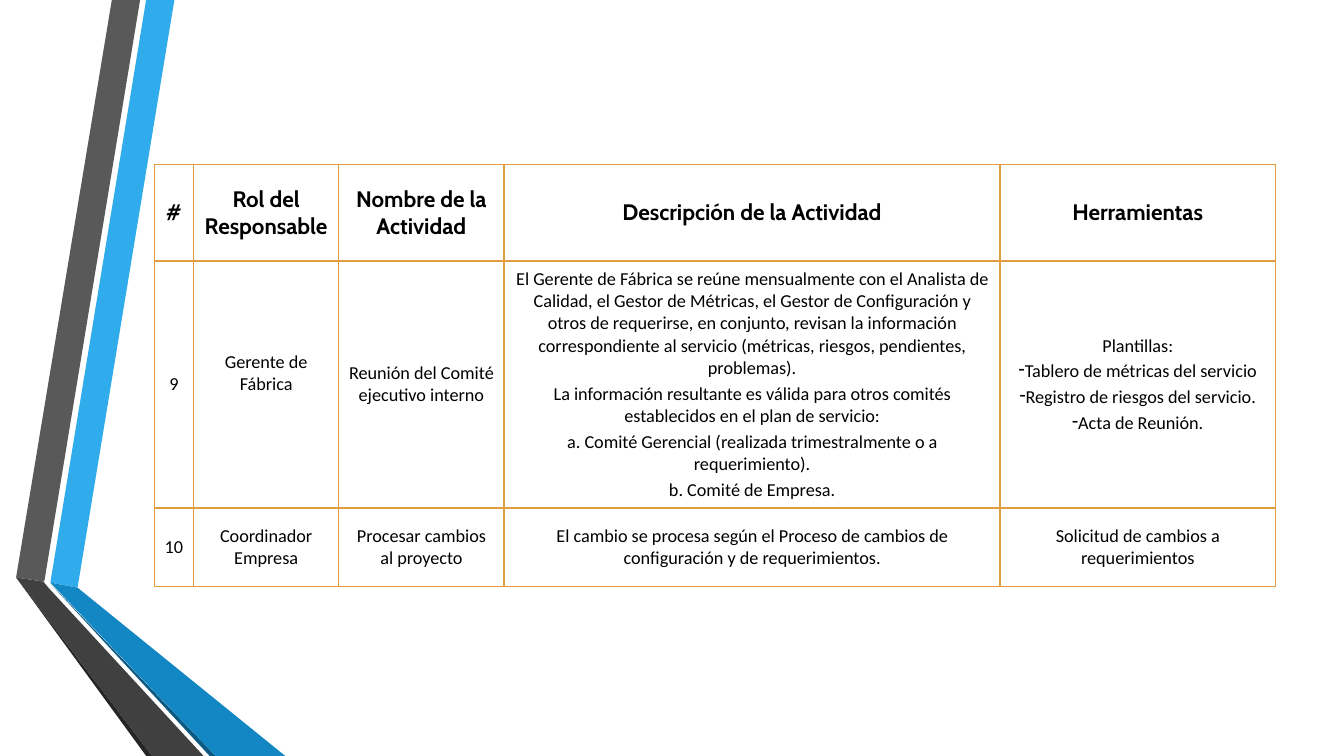
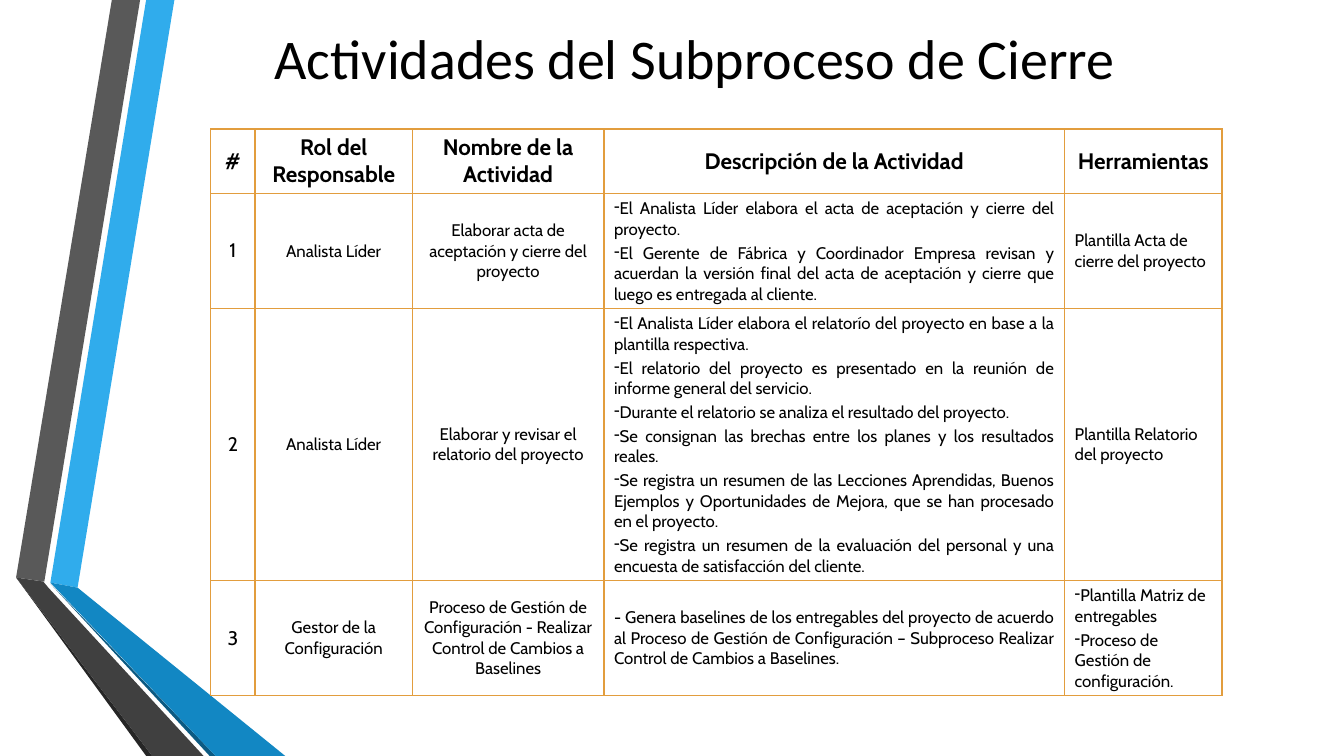
import pptx
import pptx.dml.color
import pptx.enum.text
import pptx.oxml
import pptx.oxml.ns
import pptx.util

Inches = pptx.util.Inches
Pt = pptx.util.Pt
RGB = pptx.dml.color.RGBColor
Align = pptx.enum.text.PP_ALIGN
Anchor = pptx.enum.text.MSO_ANCHOR

# Shared colours and fonts
BLACK = RGB(0x00, 0x00, 0x00)
RULE = RGB(0xE2, 0x9D, 0x3E)
SKY = RGB(0x30, 0xAC, 0xEC)
BLUE = RGB(0x12, 0x87, 0xC3)
NAVY = RGB(0x0C, 0x5A, 0x82)
GREY = RGB(0x59, 0x59, 0x59)
DARK = RGB(0x40, 0x40, 0x40)
COAL = RGB(0x26, 0x26, 0x26)
HEAD = "Cabin"
BODY = "Calibri"

# Folded ribbons on the left edge, from back to front
BANDS = [
    (SKY, [(0.5, 5.78), (0.77, 5.83), (1.73, 0), (1.45, 0)]),
    (GREY, [(1.39, 0), (1.11, 0), (0.16, 5.73), (0.44, 5.77)]),
    (COAL, [(0.16, 5.73), (1.45, 7.5), (1.51, 7.5)]),
    (NAVY, [(0.5, 5.79), (2.08, 7.5), (2.14, 7.5)]),
    (BLUE, [(0.5, 5.78), (2.14, 7.5), (2.83, 7.5), (0.77, 5.83)]),
    (DARK, [(2.02, 7.5), (0.48, 5.83), (0.43, 5.77), (0.16, 5.73),
            (1.51, 7.5)]),
]

# Table content: a cell is a string, or a list of paragraphs;
# a dash directly before a word marks a bullet
TITLES = ["#", "Rol del Responsable", "Nombre de la Actividad",
          "Descripción de la Actividad", "Herramientas"]

TRACK = [
    ["9", "Gerente de Fábrica", "Reunión del Comité ejecutivo interno",
     ["El Gerente de Fábrica se reúne mensualmente con el Analista de "
      "Calidad, el Gestor de Métricas, el Gestor de Configuración y otros "
      "de requerirse, en conjunto, revisan la información correspondiente "
      "al servicio (métricas, riesgos, pendientes, problemas).",
      "La información resultante es válida para otros comités establecidos "
      "en el plan de servicio:",
      "a. Comité Gerencial (realizada trimestralmente o a requerimiento).",
      "b. Comité de Empresa."],
     ["Plantillas:", "-Tablero de métricas del servicio",
      "-Registro de riesgos del servicio.", "-Acta de Reunión."]],
    ["10", "Coordinador Empresa", "Procesar cambios al proyecto",
     "El cambio se procesa según el Proceso de cambios de configuración y "
     "de requerimientos.",
     "Solicitud de cambios a requerimientos"],
]

CLOSE = [
    ["1", "Analista Líder",
     "Elaborar acta de aceptación y cierre del proyecto",
     ["-El Analista Líder elabora el acta de aceptación y cierre del "
      "proyecto.",
      "-El Gerente de Fábrica y Coordinador Empresa revisan y acuerdan la "
      "versión final del acta de aceptación y cierre que luego es entregada "
      "al cliente."],
     "Plantilla Acta de cierre del proyecto"],
    ["2", "Analista Líder", "Elaborar y revisar el relatorio del proyecto",
     ["-El Analista Líder elabora el relatorío del proyecto en base a la "
      "plantilla respectiva.",
      "-El relatorio del proyecto es presentado en la reunión de informe "
      "general del servicio.",
      "-Durante el relatorio se analiza el resultado del proyecto.",
      "-Se consignan las brechas entre los planes y los resultados reales.",
      "-Se registra un resumen de las Lecciones Aprendidas, Buenos Ejemplos "
      "y Oportunidades de Mejora, que se han procesado en el proyecto.",
      "-Se registra un resumen de la evaluación del personal y una encuesta "
      "de satisfacción del cliente."],
     "Plantilla Relatorio del proyecto"],
    ["3", "Gestor de la Configuración",
     "Proceso de Gestión de Configuración - Realizar Control de Cambios a "
     "Baselines",
     "- Genera baselines de los entregables del proyecto de acuerdo al "
     "Proceso de Gestión de Configuración – Subproceso Realizar Control de "
     "Cambios a Baselines.",
     ["-Plantilla Matriz de entregables",
      "-Proceso de Gestión de configuración."]],
]


def add_bands(slide, layout):
    """Draw the ribbons and move them to the layout that slides share."""
    for color, spots in BANDS:
        spots = [(Inches(x), Inches(y)) for x, y in spots]
        pen = slide.shapes.build_freeform(*spots[0])
        pen.add_line_segments(spots[1:], close=True)
        band = pen.convert_to_shape()
        band.shadow.inherit = False
        band.fill.solid()
        band.fill.fore_color.rgb = color
        band.line.fill.background()
        layout.shapes.element.append(band.element)


def set_font(para, face, size, bold=False):
    para.font.name = face
    para.font.size = Pt(size)
    para.font.bold = bold
    para.font.color.rgb = BLACK


def add_title(slide, text):
    box = slide.shapes.add_textbox(Inches(1.41), Inches(0),
                                   Inches(10.96), Inches(1.14))
    frame = box.text_frame
    frame.word_wrap = True
    frame.vertical_anchor = Anchor.MIDDLE
    para = frame.paragraphs[0]
    para.text = text
    para.alignment = Align.CENTER
    set_font(para, BODY, 40)


def add_rules(cell):
    """Draw the four borders of a cell."""
    props = cell._tc.get_or_add_tcPr()
    for spot, side in enumerate("LRTB"):
        props.insert(spot, pptx.oxml.parse_xml(
            f'<a:ln{side} {pptx.oxml.ns.nsdecls("a")} w="{Pt(1)}">'
            f'<a:solidFill><a:srgbClr val="{RULE}"/></a:solidFill>'
            f'</a:ln{side}>'))


def add_bullet(para):
    props = para._p.get_or_add_pPr()
    props.set("marL", "0")
    props.set("indent", "0")
    props.append(pptx.oxml.parse_xml(
        f'<a:buChar {pptx.oxml.ns.nsdecls("a")} char="-"/>'))


def fill_cell(cell, text, align, face, size, bold=False):
    cell.fill.background()
    add_rules(cell)
    cell.vertical_anchor = Anchor.MIDDLE
    lines = [text] if isinstance(text, str) else text
    frame = cell.text_frame
    for num, line in enumerate(lines):
        para = frame.add_paragraph() if num else frame.paragraphs[0]
        if line.startswith("-") and not line.startswith("- "):
            add_bullet(para)
            line = line[1:]
        para.text = line
        para.alignment = align
        para.space_before = Pt(0.2 * size)
        set_font(para, face, size, bold)


def add_grid(slide, left, top, cols, rows, data, face, sizes, aligns):
    """Add a table with the shared header row; return the table."""
    frame = slide.shapes.add_table(
        len(rows), len(cols), Inches(left), Inches(top),
        Inches(sum(cols)), Inches(sum(rows)))
    table = frame.table
    table.first_row = table.horz_banding = False
    for col, width in zip(table.columns, cols):
        col.width = Inches(width)
    for row, height in zip(table.rows, rows):
        row.height = Inches(height)
    for c, text in enumerate(TITLES):
        fill_cell(table.cell(0, c), text, Align.CENTER, HEAD, 16, True)
    for r, texts in enumerate(data, 1):
        for c, text in enumerate(texts):
            fill_cell(table.cell(r, c), text, aligns[c], face, sizes[c])
    return table


def main():
    deck = pptx.Presentation()
    deck.slide_width = Inches(13.33)
    deck.slide_height = Inches(7.5)
    blank = deck.slide_layouts[6]

    # Follow-up activities
    slide = deck.slides.add_slide(blank)
    add_bands(slide, blank)
    table = add_grid(slide, 1.53, 1.63, [0.39, 1.44, 1.64, 4.92, 2.73],
                     [0.96, 2.45, 0.78], TRACK, BODY, [13] * 5,
                     [Align.CENTER] * 5)
    table.cell(1, 1).margin_bottom = Inches(0.28)

    # Closing activities
    slide = deck.slides.add_slide(blank)
    add_title(slide, "Actividades del Subproceso de Cierre")
    add_grid(slide, 2.09, 1.28, [0.44, 1.56, 1.9, 4.57, 1.56],
             [0.64, 1.14, 2.7, 1.14], CLOSE, HEAD, [14] + [12] * 4,
             [Align.CENTER] * 3 + [Align.JUSTIFY, Align.LEFT])

    deck.save("out.pptx")


if __name__ == "__main__":
    main()
